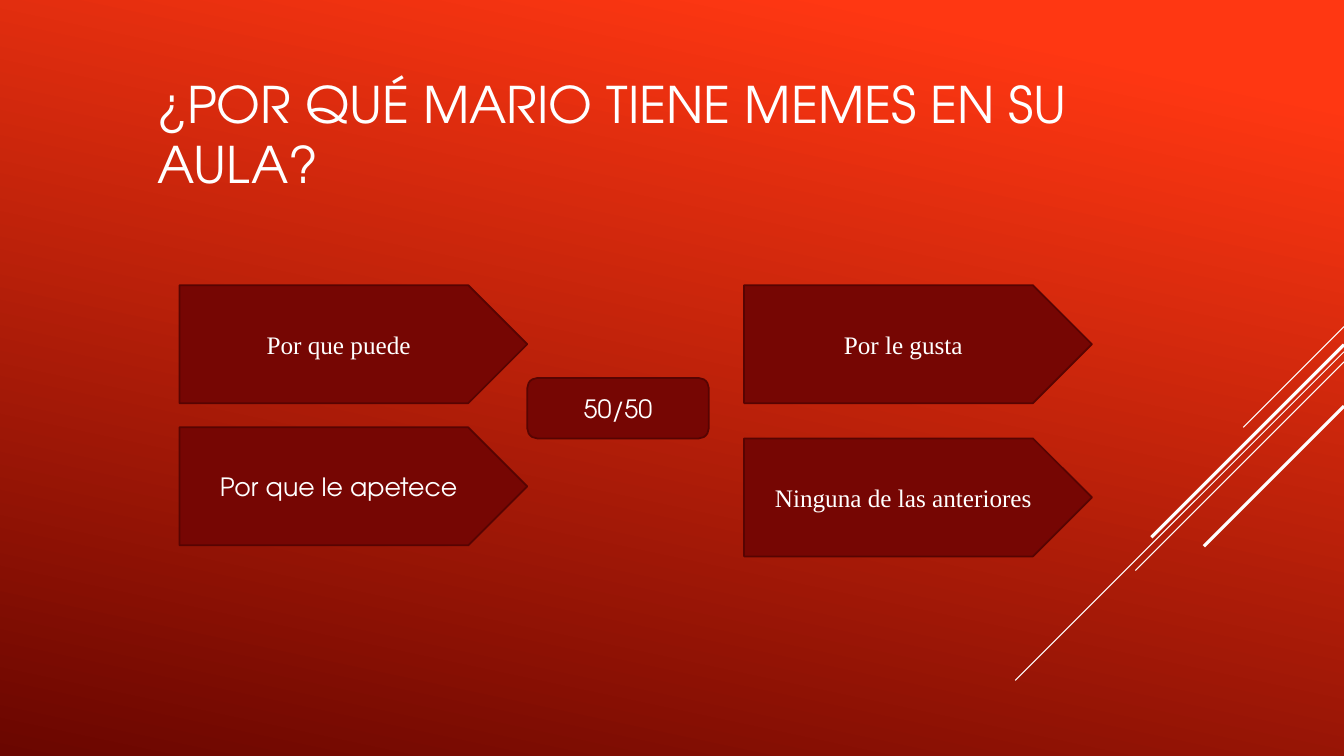
from lxml import etree
from pptx import Presentation
from pptx import util as u
from pptx.dml.color import RGBColor
from pptx.enum import shapes, text
from pptx.oxml.ns import qn

COLORS = {"glow": "FF3712", "shade": "6A0600", "box": "760603", "edge": "570402", "white": "FFFFFF"}
SANS = "TeX Gyre Adventor"
SERIF = "Times New Roman"
WIDTH, HEIGHT = 13.33, 7.5
COLUMNS = (1.78, 7.38)
ANSWER_SIZE = (3.45, 1.17)
ANSWERS = [
    ("Por que puede", SERIF, 0, 2.83),
    ("Por que le apetece", SANS, 0, 4.24),
    ("Por le gusta", SERIF, 1, 2.83),
    ("Ninguna de las anteriores", SERIF, 1, 4.35),
]
STREAKS = [(3.24, 1, 0.75), (3.49, 3.26, 0.75), (3.59, 2.07, 0.75), (3.42, 1.91, 2.25), (4.03, 1.39, 2.25)]


def color(name):
    return RGBColor.from_string(COLORS[name])


def paint_background(page):
    fill = page.background.fill
    fill.gradient()
    fill.gradient_angle = 258
    for stop, name, position in zip(fill.gradient_stops, ("glow", "shade"), (0.1, 1)):
        stop.color.rgb = color(name)
        stop.position = position


def write(shape, words, font, size, align):
    frame = shape.text_frame
    frame.text = words
    frame.word_wrap = True
    frame.auto_size = text.MSO_AUTO_SIZE.NONE
    frame.vertical_anchor = text.MSO_ANCHOR.MIDDLE
    para = frame.paragraphs[0]
    para.alignment = align
    span = para.runs[0]
    span.font.name = font
    span.font.size = u.Pt(size)
    span.font.color.rgb = color("white")


def add_title(page, words):
    title = page.shapes.title
    title.left, title.top, title.width, title.height = map(u.Inches, (1.46, 0.5, 9.33, 1.65))
    write(title, words, SANS, 36, text.PP_ALIGN.LEFT)


def add_streak(page, top, reach, weight):
    ends = map(u.Inches, (WIDTH, top, WIDTH - reach, top + reach))
    streak = page.shapes.add_connector(shapes.MSO_CONNECTOR.STRAIGHT, *ends)
    streak.line.color.rgb = color("white")
    streak.line.width = u.Pt(weight)
    etree.SubElement(streak._element.spPr, qn("a:effectLst"))


def add_box(page, kind, words, font, left, top, width, height):
    box = page.shapes.add_shape(kind, *map(u.Inches, (left, top, width, height)))
    box.shadow.inherit = False
    box.fill.solid()
    box.fill.fore_color.rgb = color("box")
    box.line.color.rgb = color("edge")
    box.line.width = u.Pt(1.25)
    write(box, words, font, 18, text.PP_ALIGN.CENTER)


def main():
    deck = Presentation()
    deck.slide_width, deck.slide_height = u.Inches(WIDTH), u.Inches(HEIGHT)
    page = deck.slides.add_slide(deck.slide_layouts[5])
    paint_background(page)
    for streak in STREAKS:
        add_streak(page, *streak)
    add_title(page, "¿POR QUÉ MARIO TIENE MEMES EN SU AULA?")
    for words, font, column, top in ANSWERS:
        add_box(page, shapes.MSO_SHAPE.PENTAGON, words, font, COLUMNS[column], top, *ANSWER_SIZE)
    middle = COLUMNS[0] + ANSWER_SIZE[0]
    add_box(page, shapes.MSO_SHAPE.FLOWCHART_ALTERNATE_PROCESS, "50/50", SANS, middle, 3.75, 1.8, 0.6)
    deck.save("out.pptx")


main()
